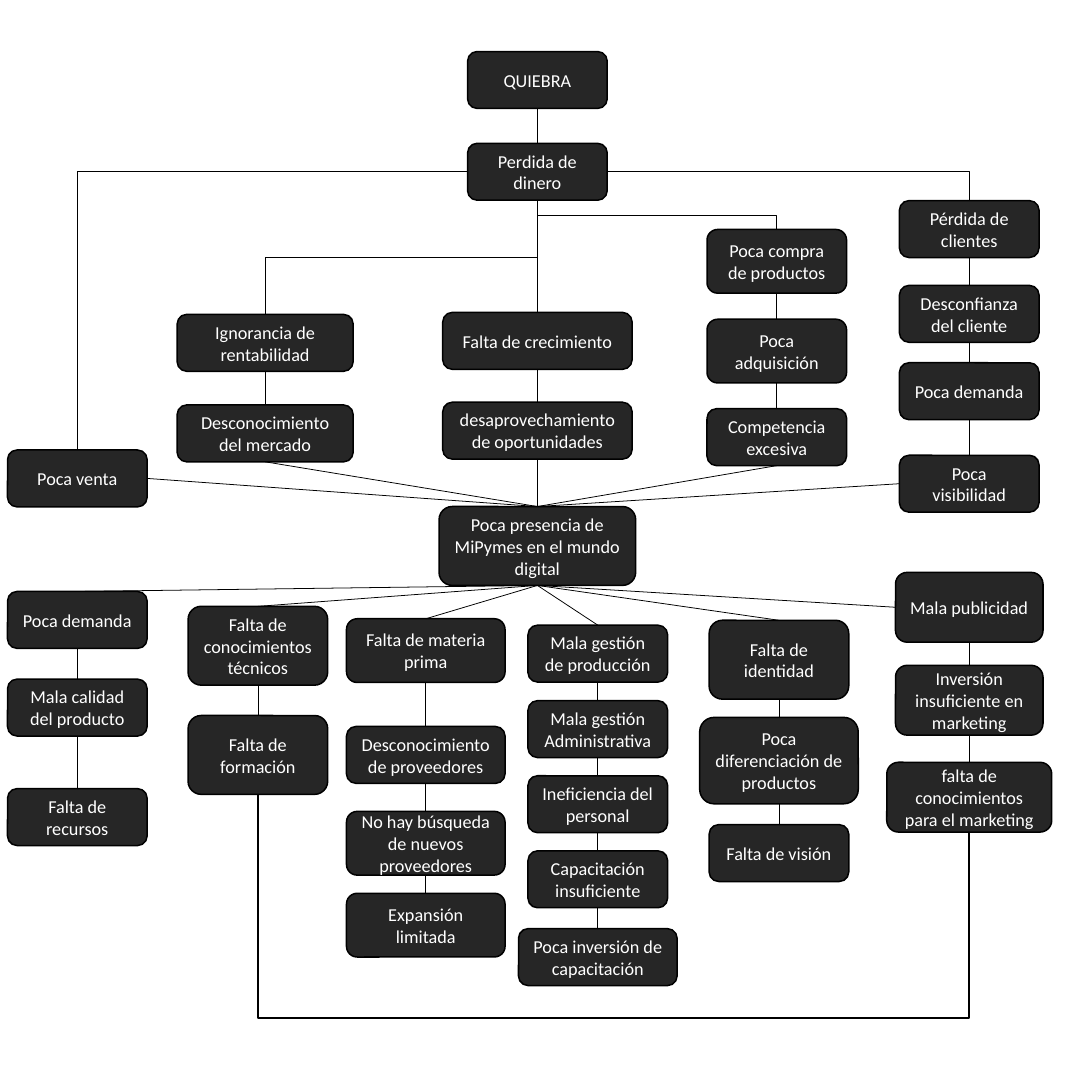
"""Build the problem tree on the low digital presence of small businesses."""
import dataclasses
import itertools

import pptx
import pptx.dml.color
import pptx.enum.shapes
import pptx.enum.text
import pptx.oxml.ns
import pptx.oxml.xmlchemy
import pptx.util
from lxml import etree

Pt = pptx.util.Pt
qn = pptx.oxml.ns.qn
TOP, LEFT, BOTTOM, RIGHT = range(4)


@dataclasses.dataclass(frozen=True)
class Theme:
    """Colours, type and line sizes."""

    box: str = "262626"
    line: str = "000000"
    text: str = "FFFFFF"
    font: str = "Calibri"
    size: float = 12
    outline: float = 1
    thin: float = 0.5
    thick: float = 1.5


class ProblemTree:
    """Draw boxes, links and elbows on one slide."""

    def __init__(self, slide, theme):
        self.slide = slide
        self.theme = theme

    def color(self, value):
        return pptx.dml.color.RGBColor.from_string(value)

    def box(self, center, text, top, width=92, height=37.5):
        box = self.slide.shapes.add_shape(
            pptx.enum.shapes.MSO_SHAPE.ROUNDED_RECTANGLE,
            Pt(center - width / 2), Pt(top), Pt(width), Pt(height))
        box.shadow.inherit = False
        box.fill.solid()
        box.fill.fore_color.rgb = self.color(self.theme.box)
        box.line.color.rgb = self.color(self.theme.line)
        box.line.width = Pt(self.theme.outline)
        frame = box.text_frame
        frame.text = text
        frame.word_wrap = True
        frame.vertical_anchor = pptx.enum.text.MSO_ANCHOR.MIDDLE
        paragraph = frame.paragraphs[0]
        paragraph.alignment = pptx.enum.text.PP_ALIGN.CENTER
        font = paragraph.runs[0].font
        font.name = self.theme.font
        font.size = Pt(self.theme.size)
        font.color.rgb = self.color(self.theme.text)
        return box

    def chain(self, center, rows):
        boxes = [self.box(center, *row) for row in rows]
        for upper, lower in itertools.pairwise(boxes):
            self.link(upper, lower)
        return boxes

    def connector(self, kind, ends, weight):
        connector = self.slide.shapes.add_connector(kind, *map(Pt, ends))
        connector.line.color.rgb = self.color(self.theme.line)
        connector.line.width = Pt(weight)
        etree.SubElement(connector.element.spPr, qn("a:effectLst"))
        return connector

    def link(self, start, end, start_side=BOTTOM, end_side=TOP):
        connector = self.connector(
            pptx.enum.shapes.MSO_CONNECTOR.STRAIGHT, (0, 0, 0, 0), self.theme.thin)
        connector.begin_connect(start, start_side)
        connector.end_connect(end, end_side)

    def elbow(self, start, end, turn=None, weight=None):
        """Leave start vertically; cross at height turn, or enter end sideways."""
        (x1, y1), (x2, y2) = start, end
        across, down = x2 - x1, y2 - y1
        left = (x1 + x2 - abs(down)) / 2
        top = (y1 + y2 - abs(across)) / 2
        connector = self.connector(
            pptx.enum.shapes.MSO_CONNECTOR.ELBOW,
            (left, top, left + abs(down), top + abs(across)),
            weight or self.theme.thin)
        properties = connector.element.spPr
        frame = properties.find(qn("a:xfrm"))
        frame.set("rot", str(90 * 60000))
        frame.set("flipH", str(int(down < 0)))
        frame.set("flipV", str(int(across > 0)))
        geometry = properties.find(qn("a:prstGeom"))
        if turn is None:
            geometry.set("prst", "bentConnector2")
        else:
            adjustments = geometry.find(qn("a:avLst"))
            share = round((turn - y1) / down * 100000)
            etree.SubElement(
                adjustments, qn("a:gd"), name="adj1", fmla=f"val {share}")


def main():
    deck = pptx.Presentation()
    deck.slide_width, deck.slide_height = Pt(708.5), Pt(720)
    theme = Theme()
    tree = ProblemTree(deck.slides.add_slide(deck.slide_layouts[6]), theme)

    edge, axis, market, purchase, clients = 51, 354.2, 174.8, 512, 638.8
    technical, supply, management, identity = 170, 280.6, 394, 513.4

    problem = tree.box(
        axis, "Poca presencia de MiPymes en el mundo digital", 334, 129.6, 52)
    loss = tree.chain(axis, [("QUIEBRA", 34), ("Perdida de dinero", 94.5)])[-1]
    sales = tree.box(edge, "Poca venta", 296.7)

    effects = [
        (market, [("Ignorancia de rentabilidad", 207.3, 116),
                  ("Desconocimiento del mercado", 267, 116)]),
        (axis, [("Falta de crecimiento", 206, 124.8),
                ("desaprovechamiento de oportunidades", 265.2, 124.8)]),
        (purchase, [("Poca compra de productos", 151.3, 92, 42),
                    ("Poca adquisición", 210.5, 92, 42),
                    ("Competencia excesiva", 269.5)]),
    ]
    for center, rows in effects:
        boxes = tree.chain(center, rows)
        tree.link(boxes[-1], problem)
        if center == axis:
            tree.link(loss, boxes[0])

    visibility = tree.chain(clients, [
        ("Pérdida de clientes", 132.3), ("Desconfianza del cliente", 188.2),
        ("Poca demanda", 239.2), ("Poca visibilidad", 300.2)])[-1]
    tree.link(sales, problem, RIGHT)
    tree.link(visibility, problem, LEFT)

    causes = [
        (edge, [("Poca demanda", 390), ("Mala calidad del producto", 447.8),
                ("Falta de recursos", 520)]),
        (technical, [("Falta de conocimientos técnicos", 399.8, 92, 52),
                     ("Falta de formación", 471.8, 92, 52)]),
        (supply, [("Falta de materia prima", 408, 104.5, 42),
                  ("Desconocimiento de proveedores", 479, 104.5),
                  ("No hay búsqueda de nuevos proveedores", 535, 104.5, 42),
                  ("Expansión limitada", 589, 104.5, 42)]),
        (management, [("Mala gestión de producción", 412.2),
                      ("Mala gestión Administrativa", 462),
                      ("Ineficiencia del personal", 511.5),
                      ("Capacitación insuficiente", 561),
                      ("Poca inversión de capacitación", 612.3, 104.5)]),
        (identity, [("Falta de identidad", 409, 92, 52),
                    ("Poca diferenciación de productos", 473, 104.5, 57),
                    ("Falta de visión", 543.7)]),
        (clients, [("Mala publicidad", 377.4, 97.2, 46),
                   ("Inversión insuficiente en marketing", 438.7, 97.2, 46),
                   ("falta de conocimientos para el marketing", 502.6, 108.7, 46)]),
    ]
    for center, rows in causes:
        first = tree.chain(center, rows)[0]
        tree.link(problem, first, BOTTOM, LEFT if center == clients else TOP)

    tree.elbow((edge, 296.7), (axis - 46, 113.2))
    tree.elbow((clients, 132.3), (axis + 46, 113.2))
    tree.elbow((market, 207.3), (axis, 132), turn=170)
    tree.elbow((purchase, 151.3), (axis, 132), turn=141.7)
    tree.elbow((clients, 548.6), (technical, 523.8), turn=671, weight=theme.thick)
    deck.save("out.pptx")


if __name__ == "__main__":
    main()
